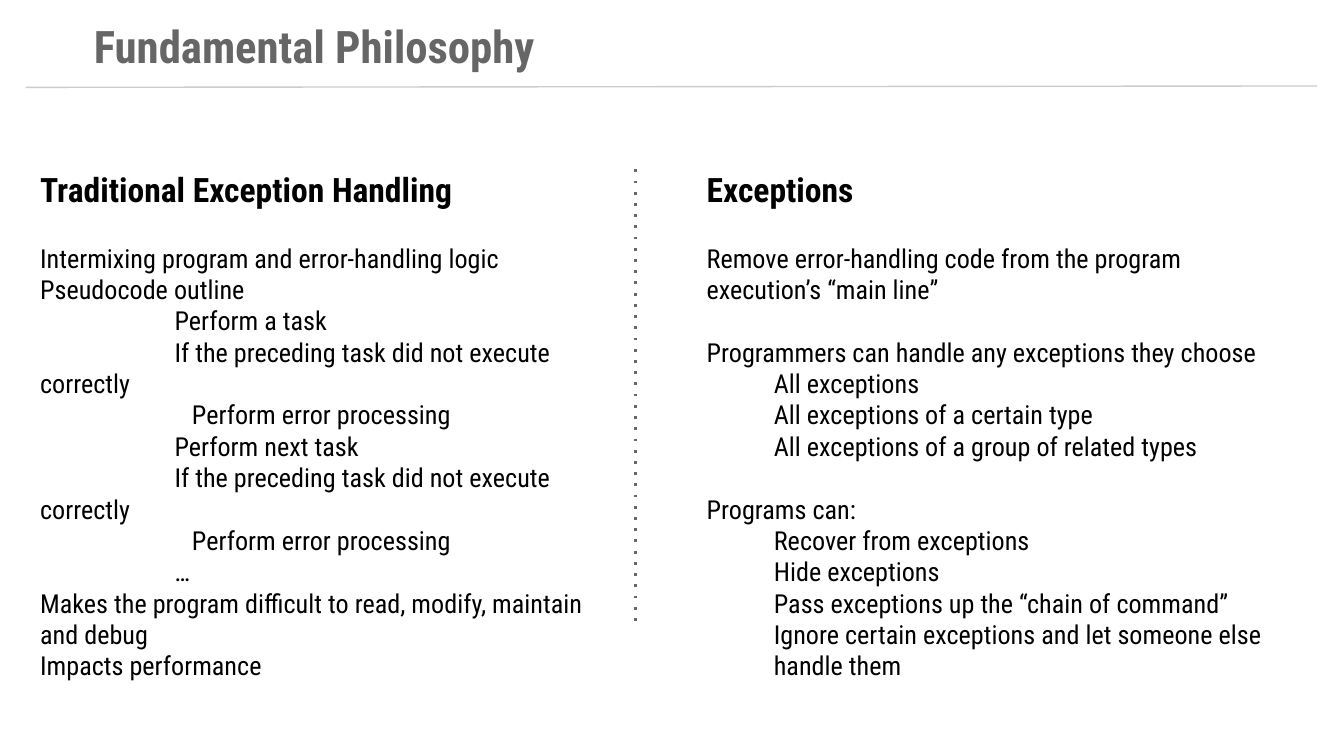
from lxml.etree import SubElement
from pptx import Presentation
from pptx.dml.color import RGBColor
from pptx.enum.shapes import MSO_CONNECTOR_TYPE as Connector
from pptx.oxml.ns import qn
from pptx.util import Inches, Pt

FONT = "Roboto Condensed"
BLACK, GRAY, SILVER = "000000", "666666", "CCCCCC"
STEP, TASK, ERROR = 0.5, 1, 1.13
GAP = 16.8

TRADITIONAL = [
    ("Intermixing program and error-handling logic", 0, 0),
    ("Pseudocode outline", 0, 0),
    ("Perform a task", TASK, 0),
    ("If the preceding task did not execute correctly", TASK, 0),
    ("Perform error processing", ERROR, 0),
    ("Perform next task", TASK, 0),
    ("If the preceding task did not execute correctly", TASK, 0),
    ("Perform error processing", ERROR, 0),
    ("…", TASK, 0),
    ("Makes the program difficult to read, modify, maintain and debug", 0, 0),
    ("Impacts performance", 0, 0),
]
EXCEPTIONS = [
    ("Remove error-handling code from the program execution’s “main line”", 0, 0),
    ("Programmers can handle any exceptions they choose", 0, GAP),
    ("All exceptions", STEP, 0),
    ("All exceptions of a certain type", STEP, 0),
    ("All exceptions of a group of related types", STEP, 0),
    ("Programs can:", 0, GAP),
    ("Recover from exceptions", STEP, 0),
    ("Hide exceptions", STEP, 0),
    ("Pass exceptions up the “chain of command”", STEP, 0),
    ("Ignore certain exceptions and let someone else", STEP, 0),
    ("handle them", STEP, 0),
]


def color(value):
    """Turn a hex string into a colour."""
    return RGBColor.from_string(value)


def add_text(page, box, lines, size, ink=BLACK, bold=False):
    """Write lines of (text, first-line indent, space before) in a box."""
    shape = page.shapes.add_textbox(*map(Inches, box))
    frame = shape.text_frame
    frame.word_wrap = True
    frame.margin_left = frame.margin_right = Inches(0.1)
    frame.margin_top = frame.margin_bottom = Inches(0.1)
    for index, (text, indent, space) in enumerate(lines):
        para = frame.add_paragraph() if index else frame.paragraphs[0]
        para.space_before = Pt(space)
        properties = para._p.get_or_add_pPr()
        properties.set("marL", "0")
        properties.set("indent", str(Inches(indent)))
        span = para.add_run()
        span.text = text
        span.font.name = FONT
        span.font.size = Pt(size)
        span.font.bold = bold
        span.font.color.rgb = color(ink)


def add_line(page, start, end, ink, width, dash="solid"):
    """Draw a straight line between two points."""
    line = page.shapes.add_connector(
        Connector.STRAIGHT, *map(Inches, (*start, *end)))
    line.line.color.rgb = color(ink)
    line.line.width = Pt(width)
    outline = line._element.spPr.find(qn("a:ln"))
    SubElement(outline, qn("a:prstDash"), val=dash)
    SubElement(line._element.spPr, qn("a:effectLst"))


def add_header(page, box):
    """Place the slide title above its rule."""
    left, top, width, height = box
    add_text(page, (left + 0.41, top, 6.02, 0.5),
             [("Fundamental Philosophy", 0, 0)], 24, GRAY, True)
    add_line(page, (left, top + height), (left + width, top + height - 0.01),
             SILVER, 0.75)


def add_column(page, box, heading, heading_width, lines):
    """Place a heading with its body text below."""
    left, top, width, height = box
    add_text(page, (left, top, heading_width, 0.53), [(heading, 0, 0)], 18,
             bold=True)
    add_text(page, (left, top + 0.54, width, height - 0.54), lines, 14)


def main():
    """Build the comparison slide."""
    deck = Presentation()
    deck.slide_width = Inches(10)
    deck.slide_height = deck.slide_width * 9 // 16
    page = deck.slides.add_slide(deck.slide_layouts[6])
    add_header(page, (0.19, 0.04, 9.61, 0.61))
    add_column(page, (0.2, 1.16, 4.25, 1.63),
               "Traditional Exception Handling", 3.77, TRADITIONAL)
    add_line(page, (4.73, 1.26), (4.73, 4.63), GRAY, 1.5, "dot")
    add_column(page, (5.16, 1.16, 4.5, 1.63), "Exceptions", 2.16, EXCEPTIONS)
    deck.save("out.pptx")


if __name__ == "__main__":
    main()
